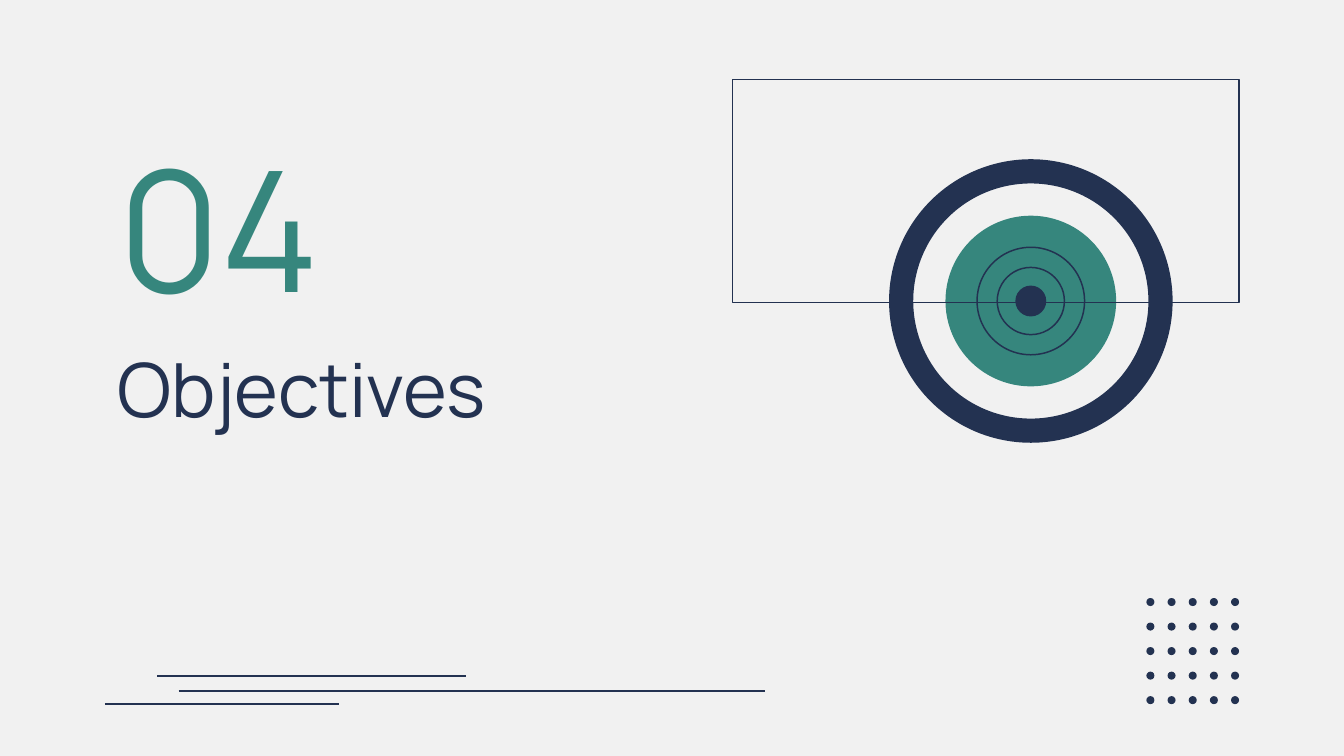
from dataclasses import dataclass
from itertools import product
from typing import Optional

from lxml import etree
from pptx import Presentation
from pptx.dml.color import RGBColor
from pptx.enum.shapes import MSO_CONNECTOR, MSO_SHAPE
from pptx.enum.text import MSO_ANCHOR
from pptx.oxml.ns import qn
from pptx.shapes.autoshape import Shape
from pptx.slide import Slide
from pptx.util import Inches, Pt

OVAL = MSO_SHAPE.OVAL
DONUT = MSO_SHAPE.DONUT
RECTANGLE = MSO_SHAPE.RECTANGLE
STRAIGHT = MSO_CONNECTOR.STRAIGHT
MIDDLE = MSO_ANCHOR.MIDDLE
BOTTOM = MSO_ANCHOR.BOTTOM

NAVY = "233251"
GREEN = "36867D"
BACKGROUND = "F1F1F1"
FONT = "Manrope"
LINE_WIDTH = 0.78
FRAME_LINE_WIDTH = 0.75

TARGET_X, TARGET_Y = 7.67, 2.24
DOT_SIZE = 0.06
DOT_X, DOT_Y = 8.56, 4.48
DOT_COUNT = 5
DOT_STEP_X = 0.63 / (DOT_COUNT - 1)
DOT_STEP_Y = 0.73 / (DOT_COUNT - 1)


@dataclass
class Ring:
    diameter: float
    fill: Optional[str] = None
    line: Optional[str] = None
    kind: MSO_SHAPE = OVAL


@dataclass
class Rule:
    left: float
    right: float
    top: float


@dataclass
class Heading:
    text: str
    top: float
    width: float
    height: float
    size: float
    color: str
    anchor: MSO_ANCHOR


RINGS = [
    Ring(1.27, fill=GREEN),
    Ring(0.8, line=NAVY),
    Ring(0.23, fill=NAVY),
    Ring(0.5, line=NAVY),
    Ring(2.11, fill=NAVY, kind=DONUT),
]
RULES = [Rule(1.33, 5.69, 5.14), Rule(0.78, 2.52, 5.24), Rule(1.17, 3.47, 5.03)]
HEADINGS = [
    Heading("Objectives", 2.49, 5.03, 0.83, 40, NAVY, BOTTOM),
    Heading("04", 1.06, 2.05, 1.24, 90, GREEN, MIDDLE),
]


def rgb(color: str) -> RGBColor:
    return RGBColor.from_string(color)


def draw_shape(slide: Slide, kind: MSO_SHAPE, left: float, top: float, width: float, height: float,
               fill: Optional[str] = None, line: Optional[str] = None,
               line_width: float = LINE_WIDTH) -> Shape:
    shape = slide.shapes.add_shape(kind, Inches(left), Inches(top), Inches(width), Inches(height))
    shape.shadow.inherit = False
    if fill:
        shape.fill.solid()
        shape.fill.fore_color.rgb = rgb(fill)
    else:
        shape.fill.background()
    if line:
        shape.line.color.rgb = rgb(line)
        shape.line.width = Pt(line_width)
    else:
        shape.line.fill.background()
    return shape


def draw_circle(slide: Slide, center_x: float, center_y: float, ring: Ring) -> Shape:
    radius = ring.diameter / 2
    return draw_shape(slide, ring.kind, center_x - radius, center_y - radius,
                      ring.diameter, ring.diameter, ring.fill, ring.line)


def draw_dots(slide: Slide) -> None:
    for column, row in product(range(DOT_COUNT), repeat=2):
        draw_circle(slide, DOT_X + column * DOT_STEP_X, DOT_Y + row * DOT_STEP_Y,
                    Ring(DOT_SIZE, fill=NAVY))


def draw_rule(slide: Slide, rule: Rule) -> None:
    connector = slide.shapes.add_connector(STRAIGHT, Inches(rule.left), Inches(rule.top),
                                           Inches(rule.right), Inches(rule.top))
    connector.line.color.rgb = rgb(NAVY)
    connector.line.width = Pt(LINE_WIDTH)
    etree.SubElement(connector.element.spPr, qn("a:effectLst"))


def draw_heading(slide: Slide, heading: Heading) -> None:
    box = slide.shapes.add_textbox(Inches(0.78), Inches(heading.top),
                                   Inches(heading.width), Inches(heading.height))
    frame = box.text_frame
    frame.word_wrap = True
    frame.vertical_anchor = heading.anchor
    frame.margin_left = frame.margin_right = Inches(0.1)
    frame.margin_top = frame.margin_bottom = Inches(0.1)
    frame.text = heading.text
    font = frame.paragraphs[0].runs[0].font
    font.name = FONT
    font.size = Pt(heading.size)
    font.color.rgb = rgb(heading.color)


def draw_target(slide: Slide) -> None:
    for ring in RINGS:
        shape = draw_circle(slide, TARGET_X, TARGET_Y, ring)
        if ring.kind == DONUT:
            shape.adjustments[0] = 0.18 / ring.diameter


def main() -> None:
    presentation = Presentation()
    presentation.slide_width = Inches(10)
    presentation.slide_height = Inches(10) * 9 // 16
    slide = presentation.slides.add_slide(presentation.slide_layouts[6])
    slide.background.fill.solid()
    slide.background.fill.fore_color.rgb = rgb(BACKGROUND)
    draw_dots(slide)
    for rule in RULES:
        draw_rule(slide, rule)
    for heading in HEADINGS:
        draw_heading(slide, heading)
    draw_target(slide)
    draw_shape(slide, RECTANGLE, 5.45, 0.59, 3.77, 1.66, line=NAVY, line_width=FRAME_LINE_WIDTH)
    presentation.save("out.pptx")


if __name__ == "__main__":
    main()
